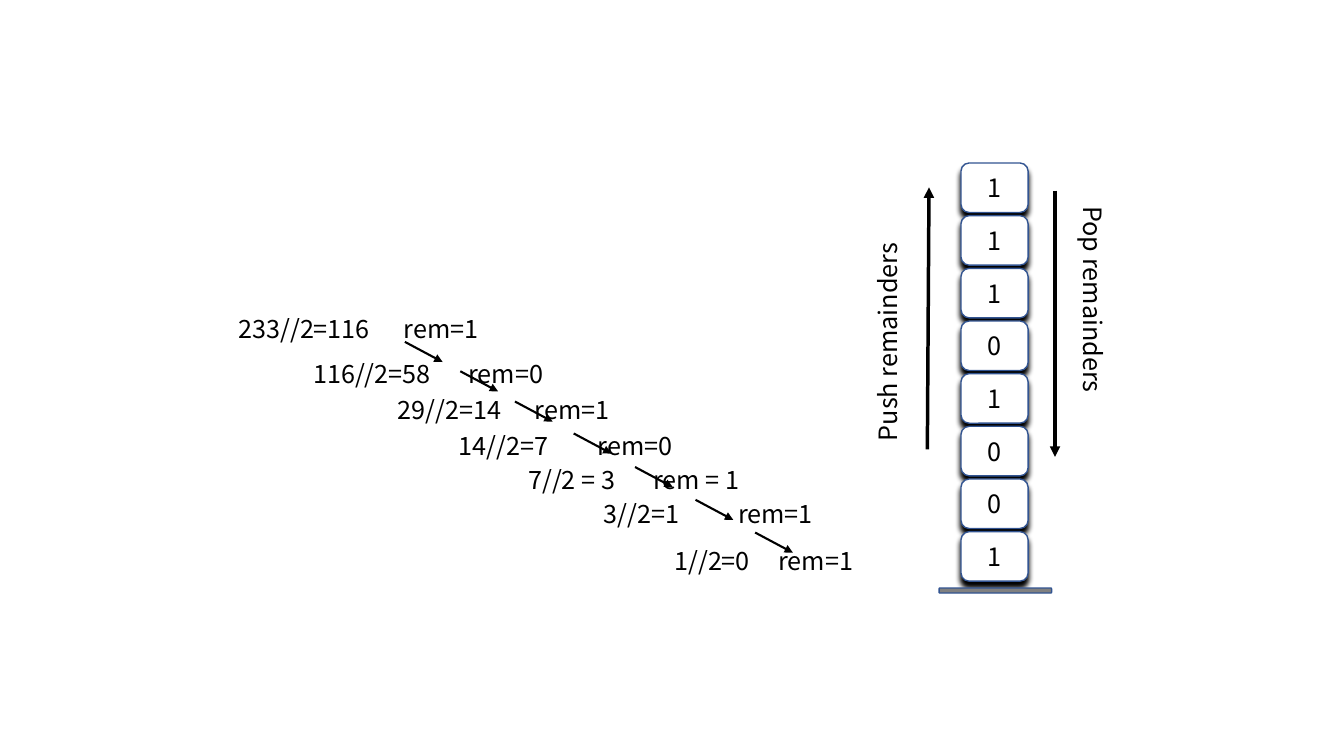
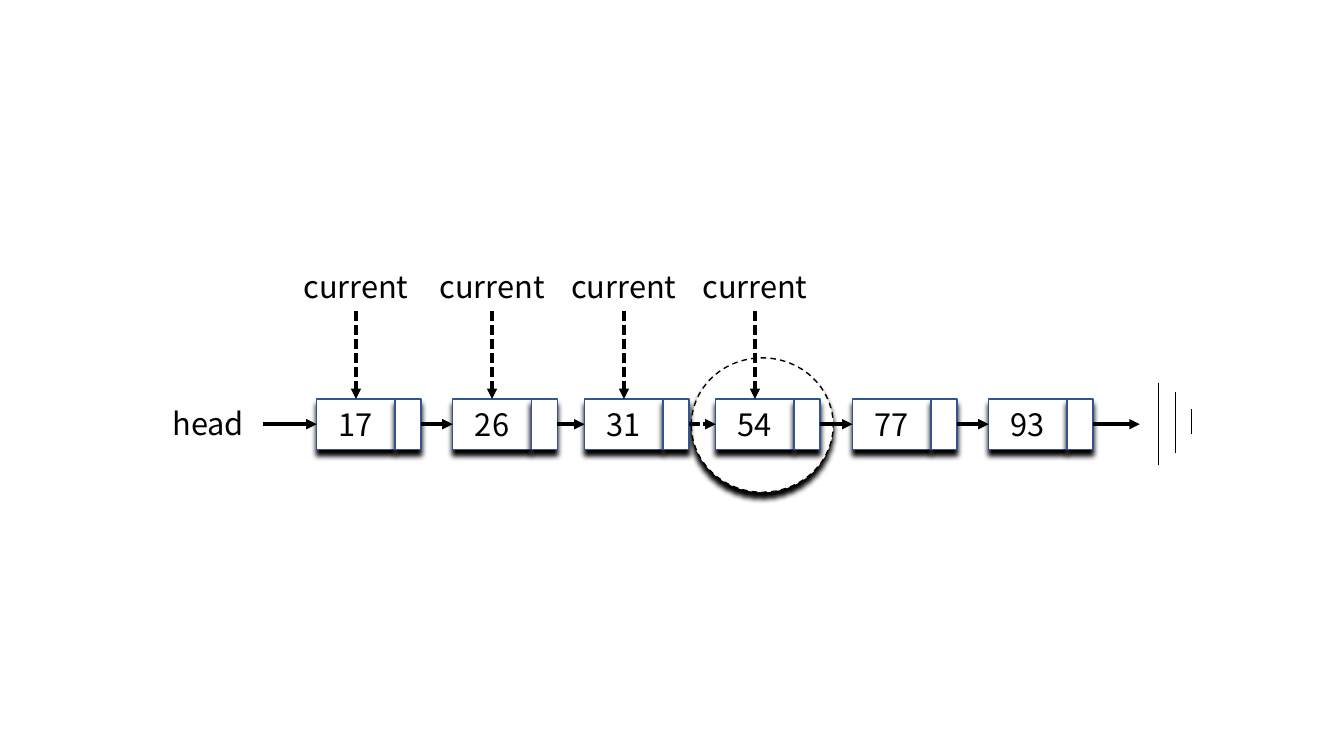
from lxml.etree import SubElement
from pptx import Presentation
from pptx.dml.color import RGBColor
from pptx.enum.dml import MSO_LINE_DASH_STYLE as Dash
from pptx.enum.shapes import MSO_CONNECTOR, MSO_SHAPE as Shape
from pptx.enum.text import MSO_ANCHOR, MSO_AUTO_SIZE, PP_ALIGN as Align
from pptx.oxml.ns import qn
from pptx.util import Inches, Pt

COLS, ROWS = 160, 90


def color(value):
    return RGBColor.from_string(value)


def add_xml(parent, tag, **attrs):
    return SubElement(parent, qn(tag), {k: str(v) for k, v in attrs.items()})


def write(tf, text, size=18, ink="000000", font="Noto Sans CJK KR", align=None):
    p = tf.paragraphs[0]
    p.alignment = align
    r = p.add_run()
    r.text = text
    r.font.size, r.font.name = Pt(size), font
    r.font.color.rgb = color(ink)
    return p


class Deck:
    black, white, gray, blue = "000000", "FFFFFF", "808080", "325491"

    def __init__(self):
        self.prs = Presentation()
        self.prs.slide_width, self.prs.slide_height = Inches(40 / 3), Inches(7.5)
        self.unit = self.prs.slide_width / COLS

    def grid(self, *lengths):
        return [round(n * self.unit) for n in lengths]

    def new_slide(self):
        self.s = self.prs.slides.add_slide(self.prs.slide_layouts[6])

    def box(self, kind, at, text="", size=18, fill=white, line=blue,
            dash=None, shadow=True):
        sp = self.s.shapes.add_shape(kind, *self.grid(*at))
        sp.shadow.inherit = False
        sp.fill.solid()
        sp.fill.fore_color.rgb = color(fill)
        sp.line.color.rgb = color(line)
        sp.line.width = Pt(1)
        sp.line.dash_style = dash
        if shadow:
            effects = sp._element.spPr.find(qn("a:effectLst"))
            outer = add_xml(effects, "a:outerShdw", blurRad=Pt(4), dist=Pt(4),
                            dir=5400000, algn="ctr", rotWithShape=0)
            add_xml(outer, "a:srgbClr", val=self.black)
        if text:
            sp.text_frame.vertical_anchor = MSO_ANCHOR.MIDDLE
            write(sp.text_frame, text, size, align=Align.CENTER)

    def label(self, at, text, size=18, align=Align.CENTER, tab=None,
              vertical=False, rotation=0):
        sp = self.s.shapes.add_textbox(*self.grid(*at))
        sp.rotation = rotation
        tf = sp.text_frame
        tf.word_wrap = True
        tf.auto_size = MSO_AUTO_SIZE.SHAPE_TO_FIT_TEXT
        p = write(tf, text, size, align=align)
        if tab:
            tabs = add_xml(p._p.get_or_add_pPr(), "a:tabLst")
            add_xml(tabs, "a:tab", pos=self.grid(tab)[0], algn="l")
        if vertical:
            tf._txBody.bodyPr.set("vert", "eaVert")

    def line(self, x1, y1, x2, y2, width=2.5, dash=None, arrow=True):
        sp = self.s.shapes.add_connector(
            MSO_CONNECTOR.STRAIGHT, *self.grid(x1, y1, x2, y2))
        sp.line.color.rgb = color(self.black)
        sp.line.width = Pt(width)
        sp.line.dash_style = dash
        if arrow:
            add_xml(sp.line._get_or_add_ln(), "a:tailEnd", type="triangle")
        add_xml(sp._element.spPr, "a:effectLst")


def division_slide(deck):
    deck.new_slide()
    steps = [
        (27.2, 36.7, 19.7, "233//2=116\trem=1"),
        (36.1, 42.1, 18.5, "116//2=58\trem=0"),
        (46.2, 46.4, 16.3, "29//2=14\trem=1"),
        (53.4, 50.6, 16.6, "14//2=7\trem=0"),
        (61.7, 54.7, 14.9, "7//2 = 3\trem = 1"),
        (70.7, 58.7, 16, "3//2=1\trem=1"),
        (79.1, 64.3, 12.4, "1//2=0\trem=1"),
    ]
    arrows = [(48.2, 40.7), (54.8, 44.2), (61.3, 47.8), (68.3, 51.6),
              (75.6, 55.6), (82.8, 59.5), (89.9, 63.4)]
    for x, y in arrows:
        deck.line(x, y, x + 4.5, y + 2.4, width=1.5)
    for x, y, tab, text in steps:
        deck.label((x, y, 37.5, 4.8), text, align=Align.LEFT, tab=tab)
    for i, bit in enumerate("11101001"):
        deck.box(Shape.ROUNDED_RECTANGLE, (114.4, 19.4 + 6.27 * i, 8, 5.9), bit)
    deck.box(Shape.ROUNDED_RECTANGLE, (111.8, 70, 13.4, 0.6),
             fill=deck.gray, shadow=False)
    deck.line(110.4, 53.5, 110.6, 22.3)
    deck.line(125.6, 22.7, 125.6, 54.4)
    deck.label((103.2, 23, 6, 30.7), "Push remainders", vertical=True, rotation=180)
    deck.label((126.6, 23.4, 6, 30.7), "Pop remainders", vertical=True)


def linked_list_slide(deck):
    deck.new_slide()
    top, middle, size = 47.5, 50.5, 22
    value_w, link_w, node_h = 9.35, 3.1, 6
    nodes = [(37.7, "17"), (53.9, "26"), (69.6, "31"),
             (85.2, "54"), (101.5, "77"), (117.7, "93")]
    found = 3
    deck.box(Shape.OVAL, (82.3, 42.6, 16.9, 16), line=deck.black, dash=Dash.DASH)
    for x, value in nodes:
        deck.box(Shape.RECTANGLE, (x, top, value_w, node_h), value, size)
        deck.box(Shape.RECTANGLE, (x + value_w, top, link_w, node_h))

    deck.label((18.2, 47.6, 13.2, 5.6), "head", size)
    starts = [31.3] + [x + value_w + link_w for x, _ in nodes]
    ends = [x for x, _ in nodes] + [135.7]
    for i, (start, end) in enumerate(zip(starts, ends)):
        deck.line(start, middle, end, middle,
                  dash=Dash.SQUARE_DOT if i == found else None)

    for x, _ in nodes[:found + 1]:
        center = x + value_w / 2
        deck.label((center - 7.5, 31.3, 15, 5.6), "current", size)
        deck.line(center, 37, center, top, dash=Dash.SQUARE_DOT)
    for x, y1, y2 in [(137.9, 45.6, 55.3), (139.9, 46.7, 53.9), (141.8, 48.7, 51.7)]:
        deck.line(x, y1, x, y2, width=0.5, arrow=False)


deck = Deck()
division_slide(deck)
linked_list_slide(deck)
deck.prs.save("out.pptx")
